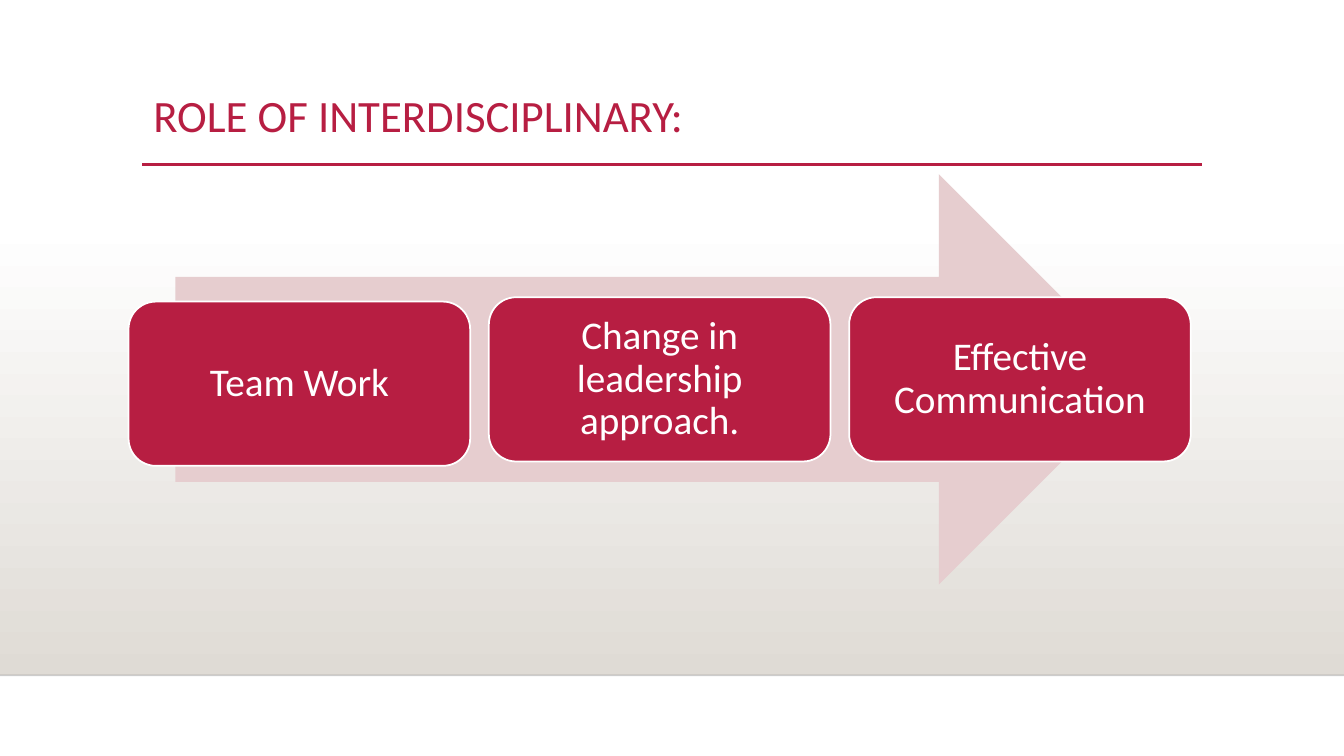
from lxml.etree import SubElement
from pptx import Presentation
from pptx.dml.color import RGBColor
from pptx.enum.shapes import MSO_CONNECTOR, MSO_SHAPE
from pptx.enum.text import MSO_ANCHOR, PP_ALIGN
from pptx.oxml.ns import qn
from pptx.util import Cm, Pt

CRIMSON, PINK, STONE, WHITE = "B71E42", "E6CDCF", "DFDBD5", "FFFFFF"


def paint(color_format, hex_color):
    color_format.rgb = RGBColor.from_string(hex_color)


def write(paragraph, text, size, hex_color):
    paragraph.line_spacing = 0.9
    span = paragraph.add_run()
    span.text = text
    span.font.name = "Calibri"
    span.font.size = Pt(size)
    paint(span.font.color, hex_color)


deck = Presentation()
deck.slide_width, deck.slide_height = Cm(33.87), Cm(19.05)
page = deck.slides.add_slide(deck.slide_layouts[5])

# Background band, fading from stone at the bottom to white at the top
band = page.shapes.add_shape(MSO_SHAPE.RECTANGLE, 0, Cm(5.61), deck.slide_width, Cm(11.41))
band.shadow.inherit = False
band.line.fill.background()
band.fill.gradient()
band.fill.gradient_angle = 90
for stop, hex_color in zip(band.fill.gradient_stops, (STONE, WHITE)):
    paint(stop.color, hex_color)

# Floor line and title rule: left, right, height, width, colour, opacity
for left, right, top, weight, hex_color, opacity in (
    (0, 33.87, 17.02, 1, "000001", 20),
    (3.58, 30.28, 4.14, 2.5, CRIMSON, 100),
):
    rule = page.shapes.add_connector(MSO_CONNECTOR.STRAIGHT, Cm(left), Cm(top), Cm(right), Cm(top))
    rule.line.width = Pt(weight)
    paint(rule.line.color, hex_color)
    if opacity < 100:
        color = rule.line._ln.find(".//" + qn("a:srgbClr"))
        SubElement(color, qn("a:alpha"), val=str(opacity * 1000))
    SubElement(rule._element.spPr, qn("a:effectLst"))

# Title
title = page.shapes.title
title.left, title.top, title.width, title.height = Cm(3.61), Cm(2.24), Cm(26.67), Cm(2.92)
title.text_frame.vertical_anchor = MSO_ANCHOR.TOP
heading = title.text_frame.paragraphs[0]
heading.alignment = PP_ALIGN.LEFT
write(heading, "ROLE OF INTERDISCIPLINARY:", 32, CRIMSON)

# Arrow behind the steps
arrow = page.shapes.add_shape(MSO_SHAPE.RIGHT_ARROW, Cm(4.42), Cm(4.39), Cm(24.41), Cm(10.34))
arrow.shadow.inherit = False
arrow.fill.solid()
paint(arrow.fill.fore_color, PINK)
arrow.line.fill.background()

# Steps at an even pitch; the first sits slightly lower
steps = (
    ("Team Work", 7.6),
    ("Change in leadership approach.", 7.49),
    ("Effective Communication", 7.49),
)
for index, (label, top) in enumerate(steps):
    box = page.shapes.add_shape(
        MSO_SHAPE.ROUNDED_RECTANGLE, Cm(3.24 + 9.08 * index), Cm(top), Cm(8.61), Cm(4.14)
    )
    box.shadow.inherit = False
    box.fill.solid()
    paint(box.fill.fore_color, CRIMSON)
    paint(box.line.color, WHITE)
    box.line.width = Pt(1.25)
    frame = box.text_frame
    frame.word_wrap = True
    frame.vertical_anchor = MSO_ANCHOR.MIDDLE
    frame.margin_left = frame.margin_right = frame.margin_top = frame.margin_bottom = Cm(0.3)
    frame.paragraphs[0].alignment = PP_ALIGN.CENTER
    write(frame.paragraphs[0], label, 28, WHITE)

deck.save("out.pptx")
